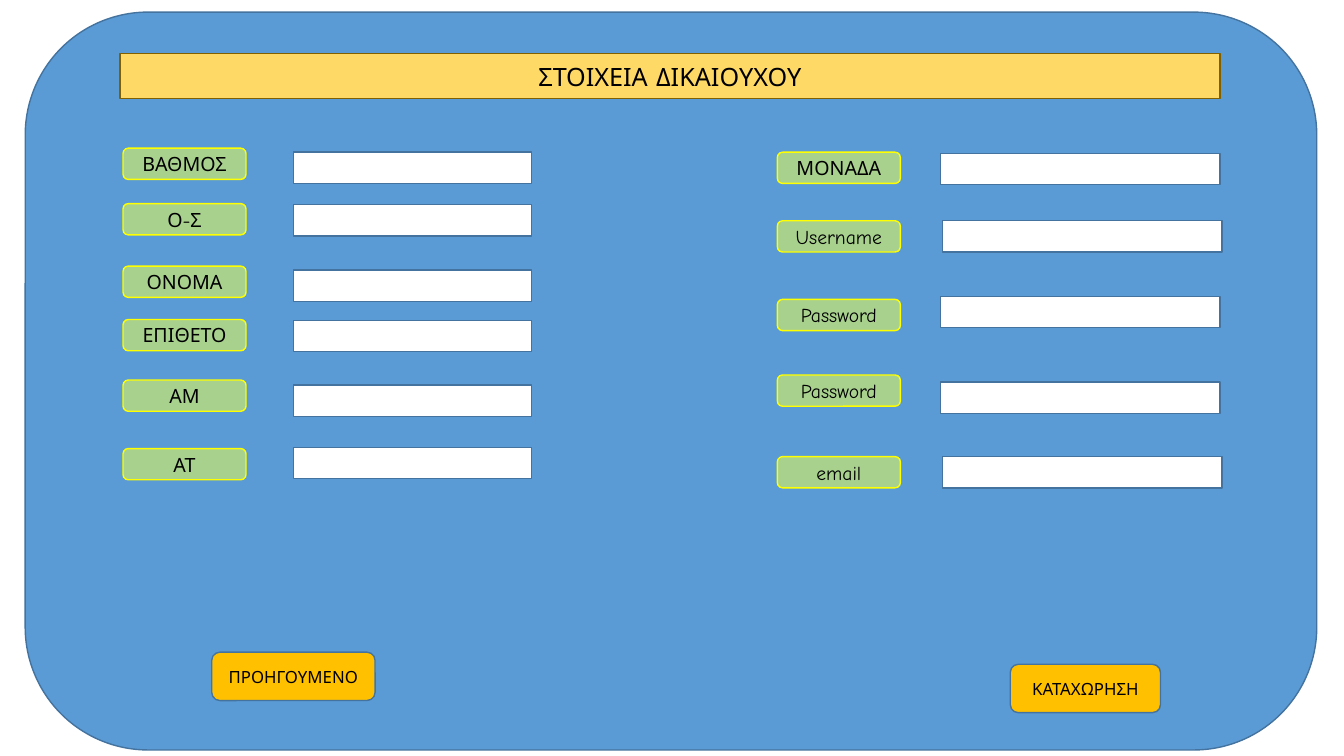
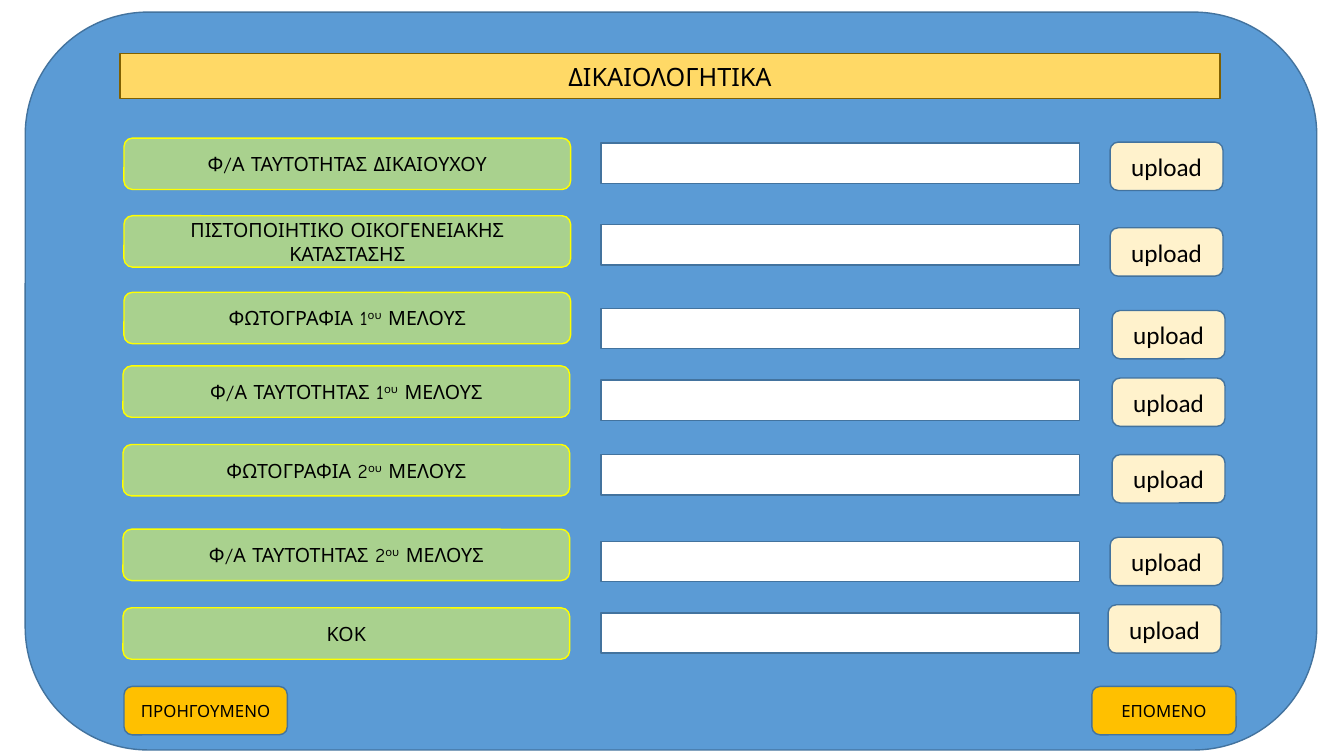
from dataclasses import dataclass
from pptx import Presentation
from pptx import util as u
from pptx.dml.color import RGBColor
from pptx.enum import shapes, text


@dataclass(frozen=True)
class Theme:
    panel: str = "5B9BD5"
    edge: str = "43739E"
    band: str = "FFD966"
    rim: str = "806000"
    label: str = "A9D18E"
    glow: str = "FFFF00"
    field: str = "FFFFFF"
    nav: str = "FFC000"
    load: str = "FFF2CC"
    ink: str = "000000"
    font: str = "Comic Neue"
    plain: str = "Calibri"
    big: int = 18
    mid: int = 14
    small: int = 12


look = Theme()
deck = Presentation()
deck.slide_width = u.Inches(13.33)
deck.slide_height = u.Inches(7.5)


def box(page, words, at, fill, line=look.edge, size=look.mid, font=look.font, rounded=True):
    kind = shapes.MSO_SHAPE.ROUNDED_RECTANGLE if rounded else shapes.MSO_SHAPE.RECTANGLE
    item = page.shapes.add_shape(kind, *map(u.Inches, at))
    item.shadow.inherit = False
    item.fill.solid()
    item.fill.fore_color.rgb = RGBColor.from_string(fill)
    item.line.color.rgb = RGBColor.from_string(line)
    item.line.width = u.Pt(1)
    if not words:
        return
    frame = item.text_frame
    frame.word_wrap = True
    frame.vertical_anchor = text.MSO_ANCHOR.MIDDLE
    para = frame.paragraphs[0]
    para.alignment = text.PP_ALIGN.CENTER
    for i, part in enumerate(words.split("^")):
        run = para.add_run()
        run.text = part
        run.font.size = u.Pt(size)
        run.font.name = font
        run.font.color.rgb = RGBColor.from_string(look.ink)
        if i % 2:
            run._r.get_or_add_rPr().set("baseline", "30000")


def start(title):
    page = deck.slides.add_slide(deck.slide_layouts[6])
    box(page, "", (0.25, 0.12, 12.81, 7.32), look.panel)
    box(page, title, (1.19, 0.53, 10.91, 0.45), look.band, line=look.rim,
        size=look.big, rounded=False)
    return page


form = start("ΣΤΟΙΧΕΙΑ ΔΙΚΑΙΟΥΧΟΥ")
left = [
    ("ΒΑΘΜΟΣ", 1.47, 2.91, 1.51),
    ("Ο-Σ", 2.02, 2.91, 2.03),
    ("ΟΝΟΜΑ", 2.64, 2.91, 2.68),
    ("ΕΠΙΘΕΤΟ", 3.17, 2.91, 3.18),
    ("ΑΜ", 3.77, 2.91, 3.82),
    ("ΑΤ", 4.45, 2.91, 4.44),
]
right = [
    ("ΜΟΝΑΔΑ", 1.51, 9.33, 1.52),
    ("Username", 2.19, 9.35, 2.19),
    ("Password", 2.97, 9.33, 2.94),
    ("Password", 3.72, 9.33, 3.79),
    ("email", 4.53, 9.35, 4.53),
]
for x, wide, rows in ((1.22, 2.36, left), (7.71, 2.77, right)):
    for name, top, entry, level in rows:
        box(form, name, (x, top, 1.22, 0.31), look.label, line=look.glow)
        box(form, "", (entry, level, wide, 0.31), look.field, rounded=False)

files = start("ΔΙΚΑΙΟΛΟΓΗΤΙΚΑ")
papers = [
    ("Φ/Α ΤΑΥΤΟΤΗΤΑΣ ΔΙΚΑΙΟΥΧΟΥ", 1.23, 1.37, 1.42, 11.01, 1.41),
    ("ΠΙΣΤΟΠΟΙΗΤΙΚΟ ΟΙΚΟΓΕΝΕΙΑΚΗΣ ΚΑΤΑΣΤΑΣΗΣ", 1.23, 2.14, 2.23, 11.01, 2.26),
    ("ΦΩΤΟΓΡΑΦΙΑ 1^ου^ ΜΕΛΟΥΣ", 1.23, 2.9, 3.06, 11.03, 3.08),
    ("Φ/Α ΤΑΥΤΟΤΗΤΑΣ 1^ου^ ΜΕΛΟΥΣ", 1.22, 3.63, 3.77, 11.03, 3.75),
    ("ΦΩΤΟΓΡΑΦΙΑ 2^ου^ ΜΕΛΟΥΣ", 1.22, 4.41, 4.51, 11.03, 4.51),
    ("Φ/Α ΤΑΥΤΟΤΗΤΑΣ 2^ου^ ΜΕΛΟΥΣ", 1.22, 5.25, 5.37, 11.01, 5.33),
    ("ΚΟΚ", 1.22, 6.03, 6.08, 10.99, 6.0),
]
for name, x, top, level, side, rise in papers:
    box(files, name, (x, top, 4.43, 0.51), look.label, line=look.glow)
    box(files, "", (5.96, level, 4.75, 0.4), look.field, rounded=False)
    box(files, "upload", (side, rise, 1.12, 0.48), look.load, size=look.big, font=look.plain)

for page, name, x, top, wide in (
    (form, "ΠΡΟΗΓΟΥΜΕΝΟ", 2.1, 6.47, 1.62),
    (form, "ΚΑΤΑΧΩΡΗΣΗ", 10.02, 6.59, 1.49),
    (files, "ΠΡΟΗΓΟΥΜΕΝΟ", 1.23, 6.81, 1.62),
    (files, "ΕΠΟΜΕΝΟ", 10.83, 6.81, 1.43),
):
    box(page, name, (x, top, wide, 0.48), look.nav, size=look.small)

deck.save("out.pptx")
